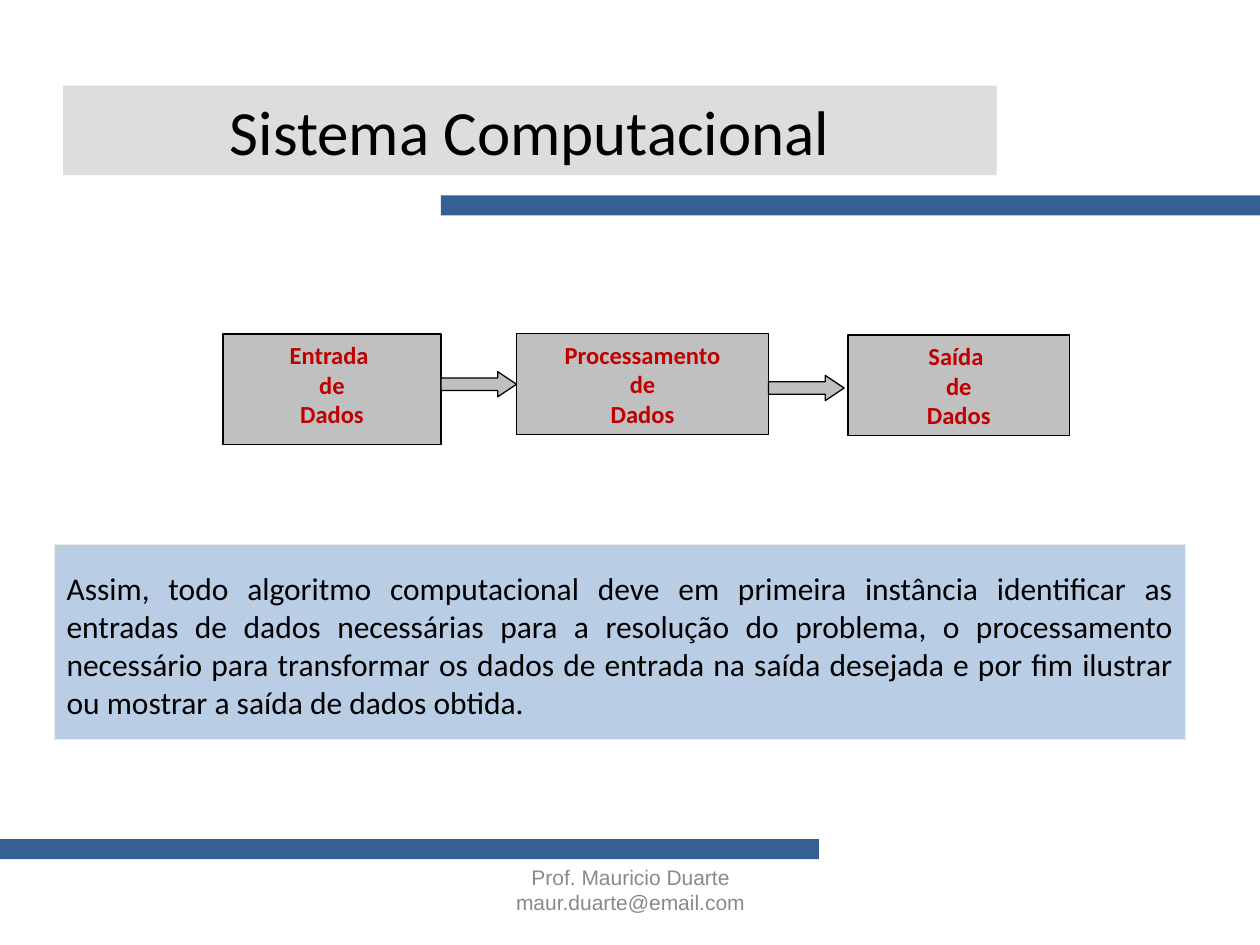
from pptx import Presentation
from pptx.dml.color import RGBColor
from pptx.enum.shapes import MSO_SHAPE
from pptx.enum.text import MSO_ANCHOR, PP_ALIGN
from pptx.util import Inches, Pt

RECT = MSO_SHAPE.RECTANGLE
ARROW = MSO_SHAPE.RIGHT_ARROW
TOP, MIDDLE = MSO_ANCHOR.TOP, MSO_ANCHOR.MIDDLE
CENTER, JUSTIFY = PP_ALIGN.CENTER, PP_ALIGN.JUSTIFY

BLUE, GRAY, BLACK = "376092", "C0C0C0", "000000"
BODY = (
    "Assim, todo algoritmo computacional deve em primeira instância "
    "identificar as entradas de dados necessárias para a resolução do "
    "problema, o processamento necessário para transformar os dados de "
    "entrada na saída desejada e por fim ilustrar ou mostrar a saída de "
    "dados obtida."
)
STEPS = [
    ("Entrada ", (1.77, 2.65, 1.73, 0.88)),
    ("Processamento", (4.1, 2.65, 2, 0.8)),
    ("Saída ", (6.73, 2.66, 1.76, 0.8)),
]


def color(code):
    return RGBColor.from_string(code)


def add_block(slide, kind, area, fill, line=None):
    shape = slide.shapes.add_shape(kind, *map(Inches, area))
    shape.shadow.inherit = False
    shape.fill.solid()
    shape.fill.fore_color.rgb = color(fill)
    if line:
        shape.line.color.rgb = color(line)
        shape.line.width = Pt(0.75)
    else:
        shape.line.fill.background()
    return shape


def add_text(shape, lines, size, ink=BLACK, face="Calibri", bold=False,
             align=CENTER, anchor=MIDDLE):
    frame = shape.text_frame
    frame.word_wrap = True
    frame.vertical_anchor = anchor
    for index, line in enumerate(lines):
        para = frame.add_paragraph() if index else frame.paragraphs[0]
        para.alignment = align
        run = para.add_run()
        run.text = line
        run.font.name = face
        run.font.size = Pt(size)
        run.font.bold = bold
        run.font.color.rgb = color(ink)


def add_step(slide, name, area):
    box = add_block(slide, RECT, area, GRAY, BLACK)
    add_text(box, [name, "de", "Dados"], 14, "C00000", bold=True, anchor=TOP)


def add_arrow(slide, left, top):
    arrow = add_block(slide, ARROW, (left, top, 0.6, 0.2), GRAY, BLACK)
    arrow.adjustments[1] = 0.75


def add_footer(slide):
    box = slide.shapes.add_textbox(*map(Inches, (3.42, 6.86, 3.17, 0.4)))
    add_text(box, ["Prof. Mauricio Duarte maur.duarte@email.com"], 12,
             "898989", "Arial")


def main():
    deck = Presentation()
    deck.slide_width, deck.slide_height = Inches(10), Inches(7.5)
    slide = deck.slides.add_slide(deck.slide_layouts[6])

    for left, top in [(0, 6.66), (3.5, 1.55)]:
        add_block(slide, RECT, (left, top, 6.5, 0.16), BLUE)
    title = add_block(slide, RECT, (0.5, 0.68, 7.41, 0.71), "DDDDDD")
    add_text(title, ["Sistema Computacional"], 36)
    add_footer(slide)

    for name, area in STEPS:
        add_step(slide, name, area)
    for left, top in [(3.5, 2.95), (6.1, 2.98)]:
        add_arrow(slide, left, top)

    note = add_block(slide, RECT, (0.43, 4.32, 8.98, 1.55), "B9CDE5", "EEECE1")
    add_text(note, [BODY], 18, align=JUSTIFY)
    note.text_frame.margin_bottom = 0
    deck.save("out.pptx")


if __name__ == "__main__":
    main()
